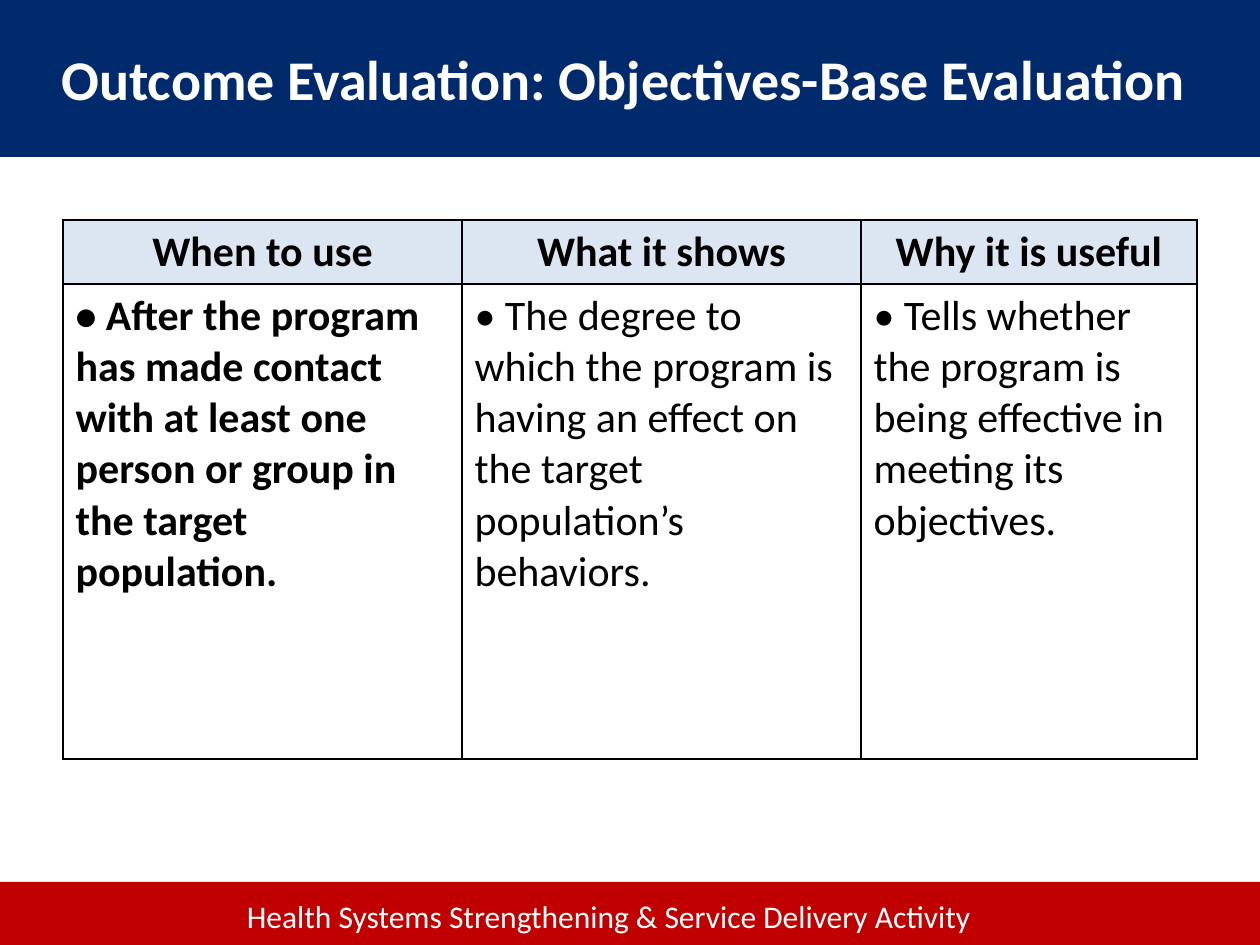
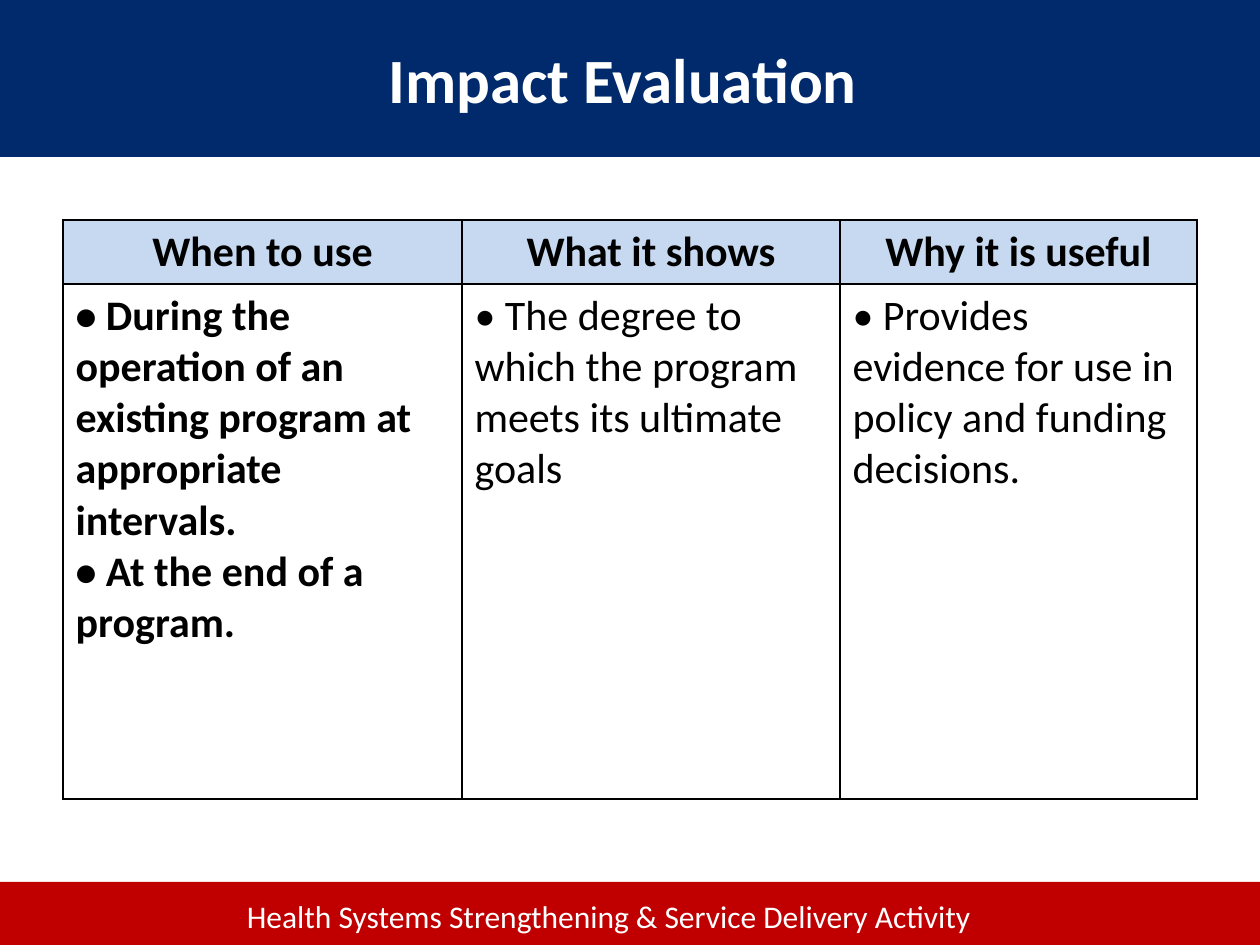
"""Build two evaluation slides, each a titled three-column table."""
import pptx
import pptx.dml.color
import pptx.enum.shapes
import pptx.enum.text
import pptx.oxml
import pptx.oxml.ns
import pptx.util

RGBColor = pptx.dml.color.RGBColor
ALIGN = pptx.enum.text.PP_ALIGN
ANCHOR = pptx.enum.text.MSO_ANCHOR

NAVY = RGBColor(0x00, 0x2A, 0x6C)
RED = RGBColor(0xC0, 0x00, 0x00)
PALE_BLUE = RGBColor(0xDC, 0xE6, 0xF2)
LIGHT_BLUE = RGBColor(0xC6, 0xD9, 0xF1)
WHITE = RGBColor(0xFF, 0xFF, 0xFF)
BLACK = RGBColor(0x00, 0x00, 0x00)

FONT = "Calibri"
SLIDE_WIDTH, SLIDE_HEIGHT = 1260, 945
TITLE_HEIGHT = 157
FOOTER_TOP = 882
TABLE_LEFT, TABLE_TOP = 63, 220
HEADER_HEIGHT = 64
FOOTER = "Health Systems Strengthening & Service Delivery Activity"
HEADINGS = ["When to use", "What it shows", "Why it is useful"]


def px(length):
    return pptx.util.Emu(round(length * 914400 / 126))


def write_text(frame, text, size=24, color=BLACK, bold=False,
               align=ALIGN.LEFT, anchor=ANCHOR.TOP):
    frame.word_wrap = True
    frame.vertical_anchor = anchor
    frame.text = text
    for paragraph in frame.paragraphs:
        paragraph.alignment = align
        for run in paragraph.runs:
            run.font.name = FONT
            run.font.size = pptx.util.Pt(size)
            run.font.bold = bold
            run.font.color.rgb = color


def add_borders(cell):
    properties = cell._tc.get_or_add_tcPr()
    for position, side in enumerate(("lnL", "lnR", "lnT", "lnB")):
        properties.insert(position, pptx.oxml.parse_xml(
            f'<a:{side} {pptx.oxml.ns.nsdecls("a")} w="12700"><a:solidFill>'
            f'<a:srgbClr val="{BLACK}"/></a:solidFill></a:{side}>'))


class Deck:
    def __init__(self):
        self.presentation = pptx.Presentation()
        self.presentation.slide_width = px(SLIDE_WIDTH)
        self.presentation.slide_height = px(SLIDE_HEIGHT)
        self.slide = None

    def add_slide(self, title, title_size):
        self.slide = self.presentation.slides.add_slide(
            self.presentation.slide_layouts[6])
        self.add_band(FOOTER_TOP, SLIDE_HEIGHT - FOOTER_TOP, RED)
        self.add_label(FOOTER, -21, 891, SLIDE_WIDTH, 50)
        title_band = self.add_band(0, TITLE_HEIGHT, NAVY)
        write_text(title_band.text_frame, title, size=title_size, color=WHITE,
                   bold=True, align=ALIGN.CENTER, anchor=ANCHOR.MIDDLE)

    def add_band(self, top, height, color):
        shape = self.slide.shapes.add_shape(
            pptx.enum.shapes.MSO_SHAPE.RECTANGLE,
            px(0), px(top), px(SLIDE_WIDTH), px(height))
        shape.shadow.inherit = False
        shape.fill.solid()
        shape.fill.fore_color.rgb = color
        shape.line.fill.background()
        return shape

    def add_label(self, text, left, top, width, height):
        box = self.slide.shapes.add_textbox(
            px(left), px(top), px(width), px(height))
        write_text(box.text_frame, text, size=18, color=WHITE,
                   align=ALIGN.CENTER)

    def add_table(self, details, column_widths, body_height, header_color):
        row_heights = [HEADER_HEIGHT, body_height]
        table = self.slide.shapes.add_table(
            len(row_heights), len(column_widths), px(TABLE_LEFT), px(TABLE_TOP),
            px(sum(column_widths)), px(sum(row_heights))).table
        table.first_row = table.horz_banding = False
        for row, height in zip(table.rows, row_heights):
            row.height = px(height)
        for index, width in enumerate(column_widths):
            table.columns[index].width = px(width)
            self.fill_cell(table.cell(0, index), HEADINGS[index], header_color,
                           bold=True, align=ALIGN.CENTER)
            self.fill_cell(table.cell(1, index), details[index], WHITE,
                           bold=index == 0)

    def fill_cell(self, cell, text, color, **text_format):
        write_text(cell.text_frame, text, **text_format)
        cell.fill.solid()
        cell.fill.fore_color.rgb = color
        add_borders(cell)


def main():
    deck = Deck()

    deck.add_slide("Outcome Evaluation: Objectives-Base Evaluation ", 32)
    deck.add_table(
        ["• After the program has made contact with at least one person or "
         "group in the target population.",
         "• The degree to which the program is having an effect on the target "
         "population’s behaviors.",
         "• Tells whether the program is being effective in meeting its "
         "objectives."],
        column_widths=[399, 399, 336], body_height=475, header_color=PALE_BLUE)

    deck.add_slide("Impact Evaluation ", 36)
    deck.add_table(
        ["• During the operation of an existing program at appropriate "
         "intervals.\n• At the end of a program.",
         "• The degree to which the program meets its ultimate goals",
         "• Provides evidence for use in policy and funding decisions."],
        column_widths=[399, 378, 357], body_height=515, header_color=LIGHT_BLUE)

    deck.presentation.save("out.pptx")


if __name__ == "__main__":
    main()
